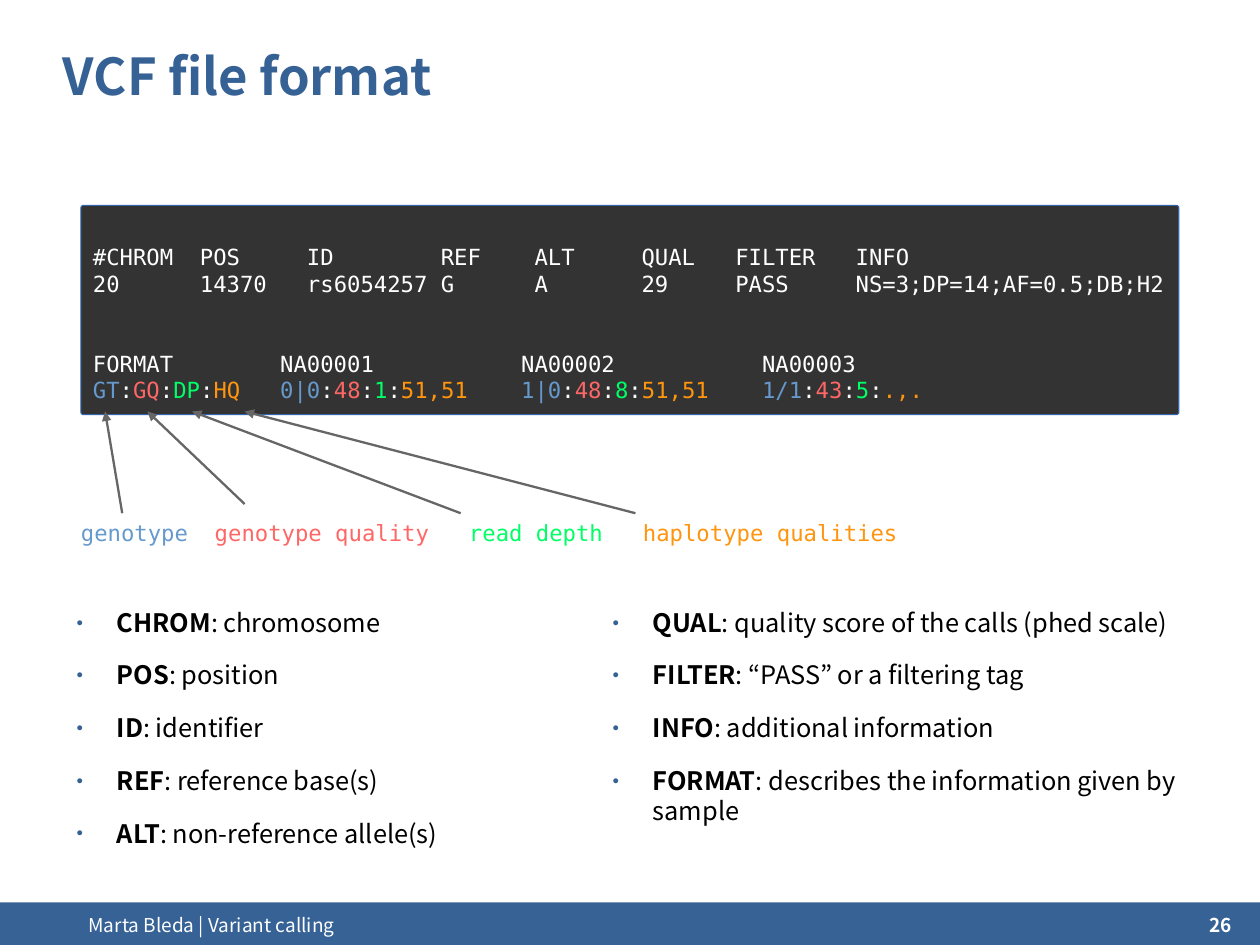
import pptx
import pptx.dml.color
import pptx.enum.shapes
import pptx.enum.text
import pptx.oxml.ns
import pptx.util
from lxml import etree

Pt = pptx.util.Pt
ALIGN = pptx.enum.text.PP_ALIGN
ANCHOR = pptx.enum.text.MSO_ANCHOR
SHAPES = pptx.enum.shapes.MSO_SHAPE

PAGE_WIDTH, PAGE_HEIGHT = 793.7, 595.28
FOOTER_TOP = 568.5
SANS = "Noto Sans CJK KR"
MONO = "DejaVu Sans Mono"
BLUE, WHITE, BLACK = "356195", "FFFFFF", "000000"
FIELD_COLOURS = ["6699CC", "FF6666", "00FF66", "FF950E"]
MONO_ADVANCE = 8.43
LINE_HEIGHT = 16.8

CODE = {"name": MONO, "size": Pt(14)}
BODY = {"name": SANS, "size": Pt(16), "colour": BLACK}
FOOTER = {"name": SANS, "size": Pt(12), "colour": WHITE}

VARIANT_COLUMNS = [8, 16, 26, 33, 41, 48, 57]
VARIANT_ROWS = [
    ["#CHROM", "POS", "ID", "REF", "ALT", "QUAL", "FILTER", "INFO"],
    ["20", "14370", "rs6054257", "G", "A", "29", "PASS", "NS=3;DP=14;AF=0.5;DB;H2"],
]
SAMPLE_COLUMNS = [14, 32, 50]
SAMPLE_HEADER = ["FORMAT", "NA00001", "NA00002", "NA00003"]
SAMPLE_VALUES = ["GT:GQ:DP:HQ", "0|0:48:1:51,51", "1|0:48:8:51,51", "1/1:43:5:.,."]
LEGEND_COLUMNS = [10, 29, 42]
LEGEND = ["genotype", "genotype quality", "read depth", "haplotype qualities"]
ARROWS = [
    ((77, 323.3), (66.2, 259.2)),
    ((154.1, 317.5), (92.9, 259.2)),
    ((290.2, 323.3), (121, 259.2)),
    ((400.3, 323.3), (154.1, 259.2)),
]
LEFT_TERMS = [
    ("CHROM", "chromosome"),
    ("POS", "position"),
    ("ID", "identifier"),
    ("REF", "reference base(s)"),
    ("ALT", "non-reference allele(s)"),
]
RIGHT_TERMS = [
    ("QUAL", "quality score of the calls (phed scale)"),
    ("FILTER", "“PASS” or a filtering tag"),
    ("INFO", "additional information"),
    ("FORMAT", "describes the information given by sample"),
]


def rgb(colour):
    return pptx.dml.color.RGBColor.from_string(colour)


def add_element(parent, tag, **attributes):
    element = etree.SubElement(parent, pptx.oxml.ns.qn(tag))
    for name, value in attributes.items():
        element.set(name, str(value))
    return element


def add_span(para, text, **style):
    span = para.add_run()
    span.text = text
    for name, value in style.items():
        if name == "colour":
            span.font.color.rgb = rgb(value)
        else:
            setattr(span.font, name, value)


def set_frame(frame, margins=(0, 0, 0, 0), anchor=ANCHOR.TOP):
    left, top, right, bottom = map(Pt, margins)
    values = {
        "margin_left": left, "margin_top": top,
        "margin_right": right, "margin_bottom": bottom,
        "word_wrap": True, "vertical_anchor": anchor,
        "auto_size": pptx.enum.text.MSO_AUTO_SIZE.NONE,
    }
    for name, value in values.items():
        setattr(frame, name, value)
    return frame


def place(shape, box):
    for name, value in zip(("left", "top", "width", "height"), box):
        setattr(shape, name, Pt(value))


def next_para(frame, index):
    return frame.add_paragraph() if index else frame.paragraphs[0]


def add_panel(slide, kind, box, fill):
    panel = slide.shapes.add_shape(kind, *map(Pt, box))
    panel.shadow.inherit = False
    panel.fill.solid()
    panel.fill.fore_color.rgb = rgb(fill)
    panel.line.fill.background()
    return panel


def set_columns(para, columns):
    """Put a tab stop at each column, counted in monospaced characters."""
    para.alignment = ALIGN.LEFT
    tabs = add_element(para._p.get_or_add_pPr(), "a:tabLst")
    for column in columns:
        add_element(tabs, "a:tab", pos=Pt(column * MONO_ADVANCE), algn="l")


def fill_title(slide, box, text):
    title = slide.shapes.title
    place(title, box)
    para = set_frame(title.text_frame, anchor=ANCHOR.MIDDLE).paragraphs[0]
    para.alignment = ALIGN.LEFT
    add_span(para, text, name=SANS, size=Pt(32), bold=True, colour=BLUE)


def add_sample_values(para):
    for index, sample in enumerate(SAMPLE_VALUES):
        for position, value in enumerate(sample.split(":")):
            separator = ":" if position else "\t" if index else ""
            if separator:
                add_span(para, separator, **CODE, colour=WHITE)
            add_span(para, value, **CODE, colour=FIELD_COLOURS[position])


def add_code_panel(slide, box):
    panel = add_panel(slide, SHAPES.ROUNDED_RECTANGLE, box, "333333")
    panel.adjustments[0] = 0.012
    panel.line.color.rgb = rgb("3465AF")
    panel.line.width = Pt(0)
    frame = set_frame(panel.text_frame, (7.2, 3.6 + LINE_HEIGHT, 7.2, 3.6), ANCHOR.MIDDLE)
    for index, cells in enumerate(VARIANT_ROWS + [SAMPLE_HEADER]):
        para = next_para(frame, index)
        is_sample = cells is SAMPLE_HEADER
        set_columns(para, SAMPLE_COLUMNS if is_sample else VARIANT_COLUMNS)
        if is_sample:
            para.space_before = Pt(2 * LINE_HEIGHT)
        add_span(para, "\t".join(cells), **CODE, colour=WHITE)
    para = frame.add_paragraph()
    set_columns(para, SAMPLE_COLUMNS)
    add_sample_values(para)


def fill_terms(placeholder, box, terms):
    place(placeholder, box)
    frame = set_frame(placeholder.text_frame)
    for index, (term, meaning) in enumerate(terms):
        para = next_para(frame, index)
        properties = para._p.get_or_add_pPr()
        properties.set("marL", str(Pt(34)))
        properties.set("indent", str(Pt(-25.5)))
        add_element(add_element(properties, "a:buClr"), "a:srgbClr", val=BLUE)
        add_element(properties, "a:buSzPct", val=45000)
        add_element(properties, "a:buChar", char="●")
        para.space_before = Pt(0)
        para.space_after = Pt(14)
        add_span(para, term, **BODY, bold=True)
        add_span(para, f": {meaning}", **BODY, bold=False)


def add_legend(slide, box):
    legend = slide.shapes.add_textbox(*map(Pt, box))
    para = set_frame(legend.text_frame, (7.2, 3.6, 7.2, 3.6)).paragraphs[0]
    set_columns(para, LEGEND_COLUMNS)
    for index, (label, colour) in enumerate(zip(LEGEND, FIELD_COLOURS)):
        add_span(para, "\t" + label if index else label, **CODE, colour=colour)


def add_arrow(slide, start, end):
    arrow = slide.shapes.add_connector(
        pptx.enum.shapes.MSO_CONNECTOR.STRAIGHT, *map(Pt, start + end))
    arrow.line.color.rgb = rgb("666666")
    arrow.line.width = Pt(1.45)
    add_element(arrow.line._get_or_add_ln(), "a:tailEnd", type="triangle")
    add_element(arrow._element.spPr, "a:effectLst")


def add_footer(slide, box):
    left, top, width, height = box
    add_panel(slide, SHAPES.RECTANGLE, box, "366296")
    parts = [
        (55.8, 643, "Marta Bleda | Variant calling", ALIGN.LEFT, False),
        (width - 83.3, 65.5, "26", ALIGN.RIGHT, True),
    ]
    for offset, part_width, text, alignment, bold in parts:
        label = slide.shapes.add_textbox(
            Pt(left + offset), Pt(top + 7.2), Pt(part_width), Pt(19.4))
        para = set_frame(label.text_frame).paragraphs[0]
        para.alignment = alignment
        add_span(para, text, **FOOTER, bold=bold)


def main():
    deck = pptx.Presentation()
    deck.slide_width, deck.slide_height = Pt(PAGE_WIDTH), Pt(PAGE_HEIGHT)
    slide = deck.slides.add_slide(deck.slide_layouts[3])
    add_footer(slide, (0, FOOTER_TOP, PAGE_WIDTH, PAGE_HEIGHT - FOOTER_TOP))
    fill_title(slide, (39.6, 23.8, 714.2, 46.8), "VCF file format")
    add_code_panel(slide, (51, 129.4, 691.6, 131.8))
    fill_terms(slide.placeholders[1], (39.6, 382.3, 337.7, 164.2), LEFT_TERMS)
    fill_terms(slide.placeholders[2], (377.3, 382.3, 368.6, 164.2), RIGHT_TERMS)
    add_legend(slide, (43.9, 323.3, 667.4, 38.9))
    for start, end in ARROWS:
        add_arrow(slide, start, end)
    deck.save("out.pptx")


if __name__ == "__main__":
    main()
